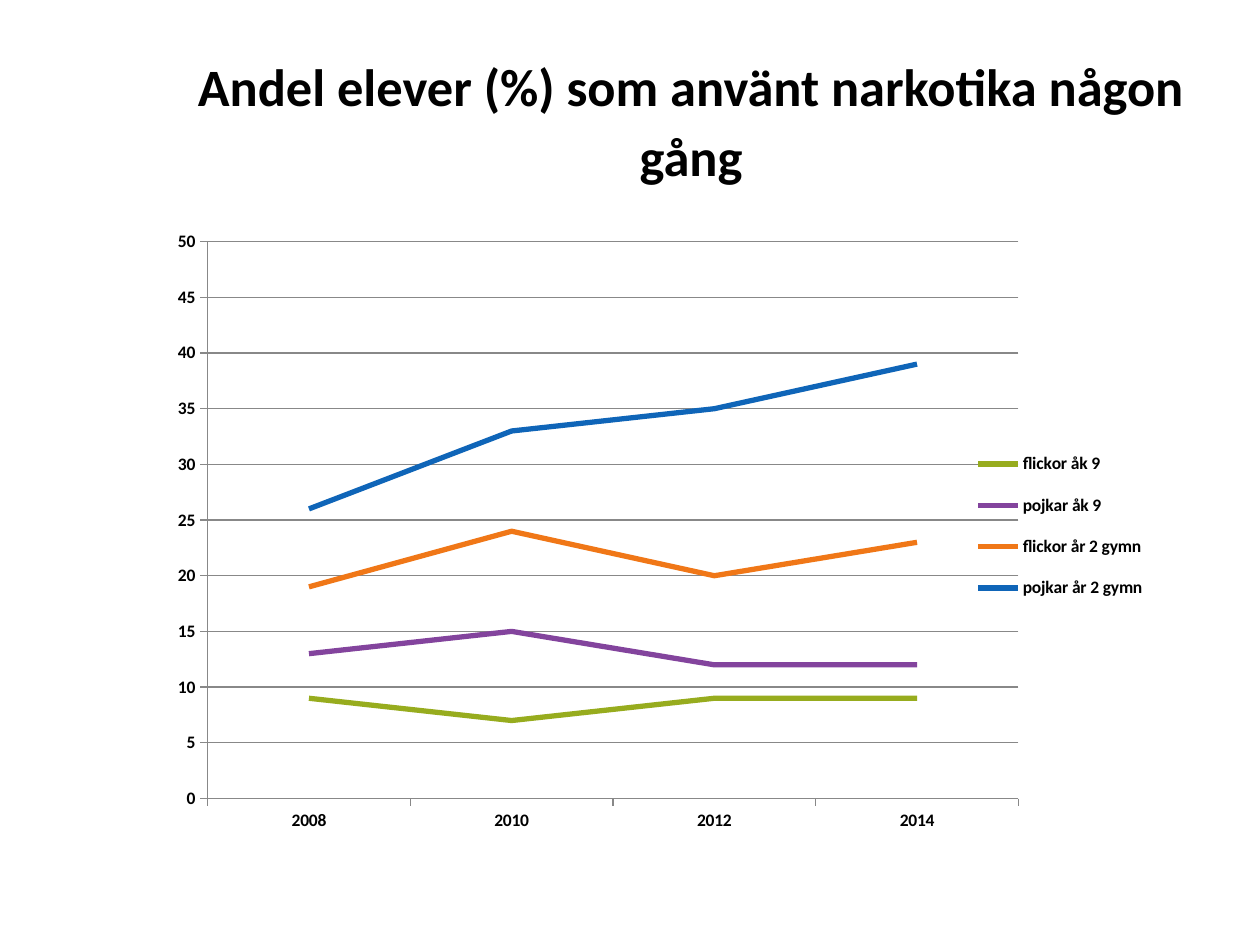
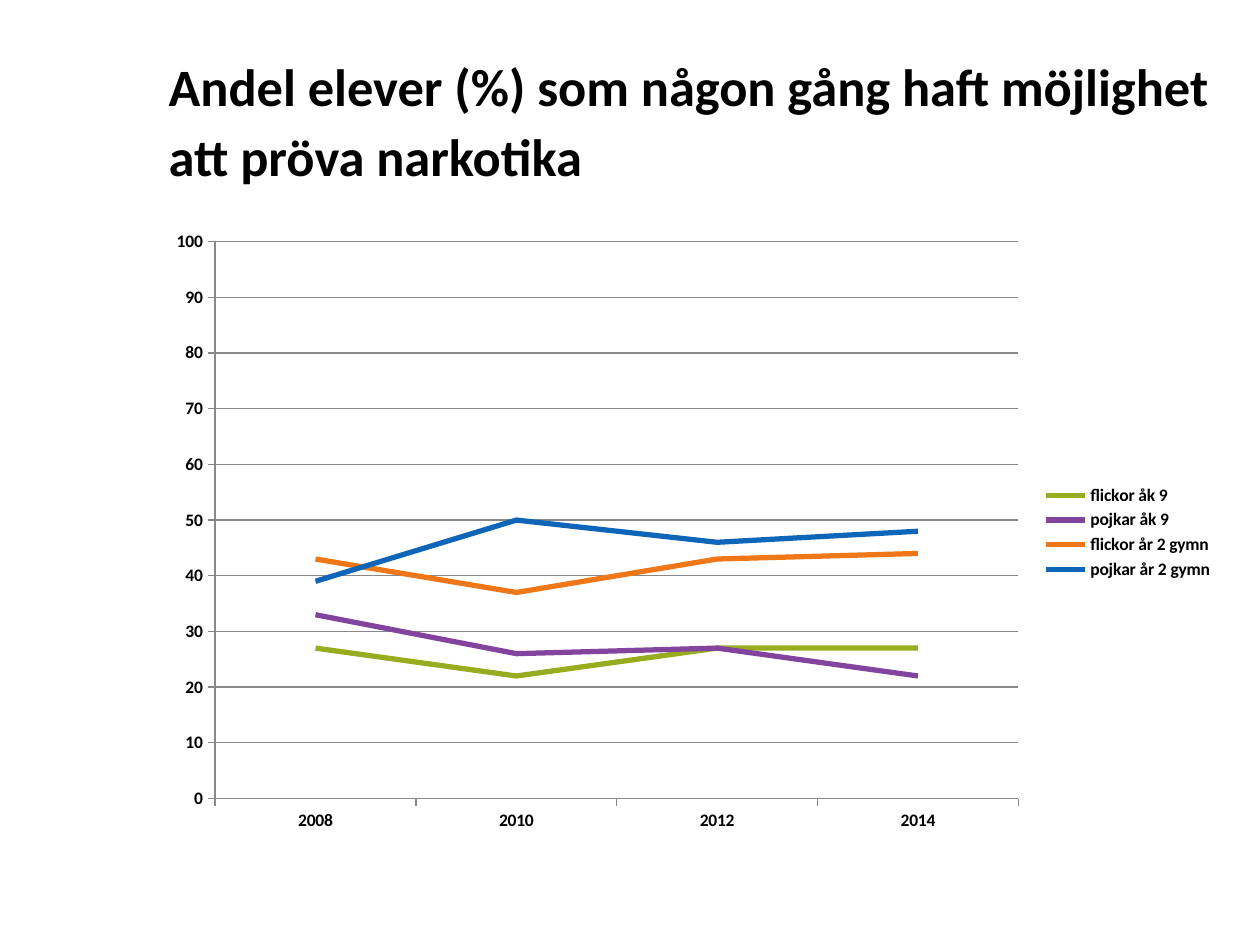
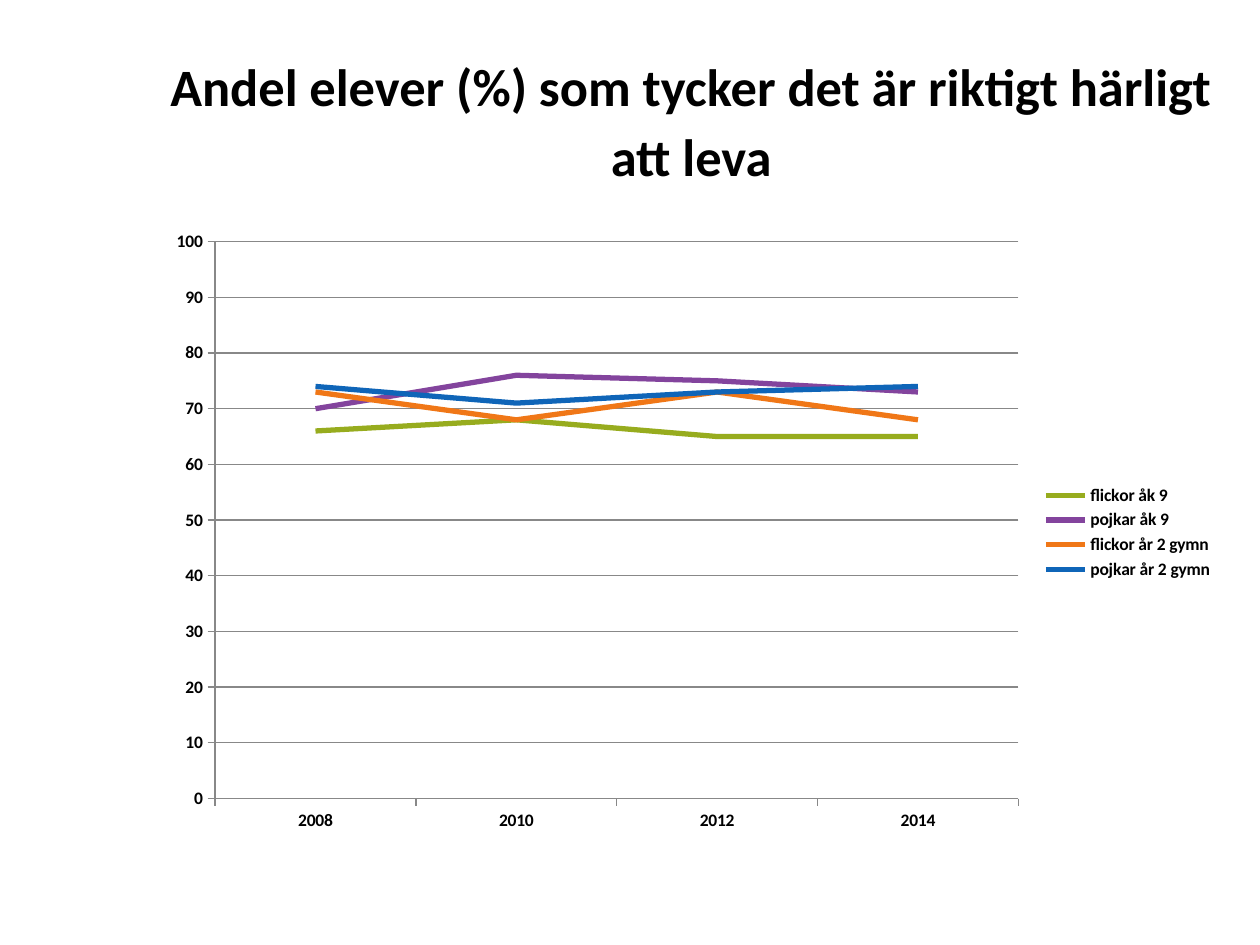
from dataclasses import dataclass

from lxml.etree import SubElement
from pptx import Presentation
from pptx.chart.data import CategoryChartData as ChartData
from pptx.dml.color import RGBColor as Color
from pptx.enum.chart import XL_CHART_TYPE as ChartType
from pptx.enum.chart import XL_LEGEND_POSITION as LegendPosition
from pptx.enum.chart import XL_TICK_MARK as TickMark
from pptx.enum.text import MSO_ANCHOR as Anchor
from pptx.enum.text import PP_ALIGN as Align
from pptx.oxml.ns import qn
from pptx.util import Inches, Pt


@dataclass(frozen=True)
class Theme:
    font: str = "Calibri"
    text: str = "000000"
    background: str = "FFFFFF"
    grid: str = "888888"
    series: tuple = ("97AC1E", "83449D", "F07717", "0F65B8")
    title_size: float = 30
    title_spacing: float = 40
    chart_size: float = 10
    series_width: float = 3
    grid_width: float = 0.75


COLUMNS, ROWS = 100, 150
LEFT, WIDTH = 12.4, 84.9
TITLE_TOP, TITLE_HEIGHT = 6, 25
CHART_TOP, CHART_HEIGHT = 35, 99
PLOT_TOP, PLOT_HEIGHT, PLOT_RIGHT = 0.034, 0.893, 0.806

YEARS = ("2008", "2010", "2012", "2014")
GROUPS = ("flickor åk 9", "pojkar åk 9", "flickor år 2 gymn", "pojkar år 2 gymn")

SURVEY_SLIDES = (
    {
        "title": "Andel elever (%) som använt narkotika någon gång",
        "align": Align.CENTER,
        "maximum": 50,
        "plot_left": 0.048,
        "legend_area": (0.76, 0.34, 0.17, 0.3),
        "values": ((9, 7, 9, 9), (13, 15, 12, 12), (19, 24, 20, 23), (26, 33, 35, 39)),
    },
    {
        "title": "Andel elever (%) som någon gång haft möjlighet att pröva narkotika",
        "align": Align.LEFT,
        "maximum": 100,
        "plot_left": 0.055,
        "legend_area": None,
        "values": ((27, 22, 27, 27), (33, 26, 27, 22), (43, 37, 43, 44), (39, 50, 46, 48)),
    },
    {
        "title": "Andel elever (%) som tycker det är riktigt härligt att leva",
        "align": Align.CENTER,
        "maximum": 100,
        "plot_left": 0.055,
        "legend_area": None,
        "values": ((66, 68, 65, 65), (70, 76, 75, 73), (73, 68, 73, 68), (74, 71, 73, 74)),
    },
)


def set_layout(element, index, area, inner=False):
    for old_layout in element.findall(qn("c:layout")):
        element.remove(old_layout)
    layout = element.makeelement(qn("c:layout"))
    element.insert(index, layout)
    manual = SubElement(layout, qn("c:manualLayout"))
    settings = [("layoutTarget", "inner")] if inner else []
    settings += [("xMode", "edge"), ("yMode", "edge")]
    settings += zip("xywh", area)
    for name, value in settings:
        SubElement(manual, qn(f"c:{name}")).set("val", str(value))


class SurveyDeck:
    def __init__(self, theme):
        self.theme = theme
        self.presentation = Presentation()
        self.presentation.slide_width = Inches(10)
        self.presentation.slide_height = Inches(7.5)
        self.slide = None

    def place(self, left, top, width, height):
        column = self.presentation.slide_width / COLUMNS
        row = self.presentation.slide_height / ROWS
        return int(left * column), int(top * row), int(width * column), int(height * row)

    def style_font(self, font, size, bold=True):
        font.name = self.theme.font
        font.size = Pt(size)
        font.bold = bold
        font.color.rgb = Color.from_string(self.theme.text)

    def style_line(self, line, color, width):
        line.color.rgb = Color.from_string(color)
        line.width = Pt(width)

    def add_slide(self):
        self.slide = self.presentation.slides.add_slide(self.presentation.slide_layouts[6])
        fill = self.slide.background.fill
        fill.solid()
        fill.fore_color.rgb = Color.from_string(self.theme.background)

    def add_title(self, text, align):
        area = self.place(LEFT, TITLE_TOP, WIDTH, TITLE_HEIGHT)
        text_frame = self.slide.shapes.add_textbox(*area).text_frame
        text_frame.word_wrap = True
        text_frame.vertical_anchor = Anchor.MIDDLE
        text_frame.text = text
        paragraph = text_frame.paragraphs[0]
        paragraph.alignment = align
        paragraph.line_spacing = Pt(self.theme.title_spacing)
        self.style_font(paragraph.runs[0].font, self.theme.title_size)

    def add_line_chart(self, values, maximum, plot_left, legend_area):
        data = ChartData()
        data.categories = YEARS
        for group, shares in zip(GROUPS, values):
            data.add_series(group, shares)
        area = self.place(LEFT, CHART_TOP, WIDTH, CHART_HEIGHT)
        chart = self.slide.shapes.add_chart(ChartType.LINE, *area, data).chart
        chart.has_title = False
        self.style_font(chart.font, self.theme.chart_size, bold=False)
        self.style_axes(chart, maximum)
        self.style_series(chart.plots[0])
        self.add_legend(chart, legend_area)
        plot_area = chart.plots[0]._element.getparent()
        plot_width = round(PLOT_RIGHT - plot_left, 3)
        set_layout(plot_area, 0, (plot_left, PLOT_TOP, plot_width, PLOT_HEIGHT), inner=True)

    def style_axes(self, chart, maximum):
        value_axis = chart.value_axis
        value_axis.minimum_scale = 0
        value_axis.maximum_scale = maximum
        value_axis.major_unit = maximum / 10
        value_axis.has_major_gridlines = True
        lines = [value_axis.major_gridlines.format.line]
        for axis in (chart.category_axis, value_axis):
            axis.major_tick_mark = TickMark.OUTSIDE
            self.style_font(axis.tick_labels.font, self.theme.chart_size)
            lines.append(axis.format.line)
        for line in lines:
            self.style_line(line, self.theme.grid, self.theme.grid_width)

    def style_series(self, plot):
        plot.vary_by_categories = False
        for series, color in zip(plot.series, self.theme.series):
            series.smooth = False
            self.style_line(series.format.line, color, self.theme.series_width)

    def add_legend(self, chart, area):
        chart.has_legend = True
        legend = chart.legend
        legend.position = LegendPosition.RIGHT
        legend.include_in_layout = False
        self.style_font(legend.font, self.theme.chart_size)
        if area:
            set_layout(legend._element, 1, area)


def main():
    deck = SurveyDeck(Theme())
    for survey in SURVEY_SLIDES:
        deck.add_slide()
        deck.add_title(survey["title"], survey["align"])
        deck.add_line_chart(
            survey["values"], survey["maximum"], survey["plot_left"], survey["legend_area"]
        )
    deck.presentation.save("out.pptx")


if __name__ == "__main__":
    main()
